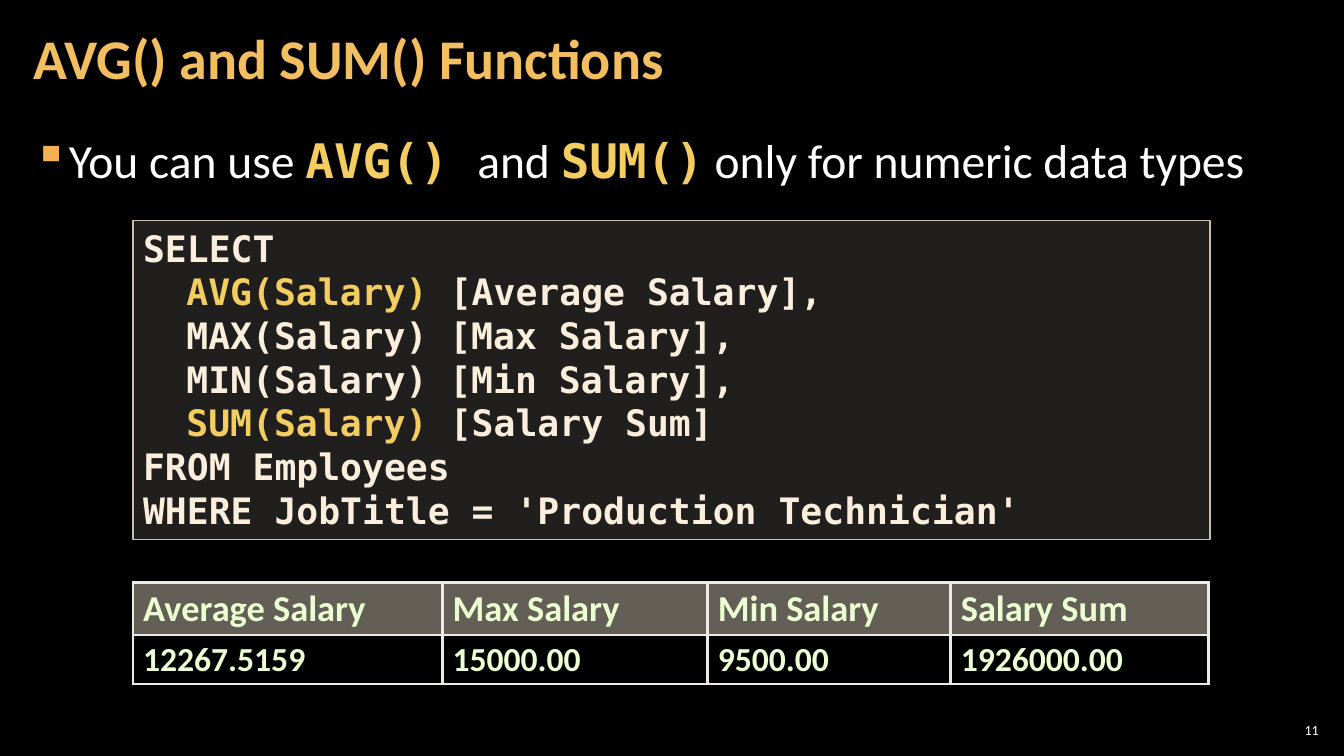
from lxml import etree
from pptx import Presentation
from pptx.dml.color import RGBColor
from pptx.enum.shapes import MSO_SHAPE
from pptx.enum.text import MSO_ANCHOR, MSO_AUTO_SIZE, PP_ALIGN
from pptx.oxml import parse_xml
from pptx.oxml.ns import nsdecls, qn
from pptx.util import Inches, Pt

LEFT, RIGHT = PP_ALIGN.LEFT, PP_ALIGN.RIGHT
MIDDLE, TOP = MSO_ANCHOR.MIDDLE, MSO_ANCHOR.TOP
NO_AUTOFIT = MSO_AUTO_SIZE.NONE
RECTANGLE = MSO_SHAPE.RECTANGLE

BLACK = RGBColor(0x00, 0x00, 0x00)
WHITE = RGBColor(0xFF, 0xFF, 0xFF)
TITLE_GOLD = RGBColor(0xF3, 0xBE, 0x60)
CODE_GOLD = RGBColor(0xF3, 0xCD, 0x60)
CREAM = RGBColor(0xFB, 0xEE, 0xDC)
PANEL = RGBColor(0xD9, 0xD5, 0xC7)
TAUPE = RGBColor(0xC7, 0xBF, 0xAC)
MINT = RGBColor(0xEB, 0xFF, 0xD2)

SANS = "Calibri"
MONO = "DejaVu Sans Mono"


def add_text(para, text, size, color, font=SANS, bold=False):
    span = para.add_run()
    span.text = text
    span.font.size = Pt(size)
    span.font.color.rgb = color
    span.font.name = font
    span.font.bold = bold


def set_opacity(element, percent):
    color = next(element.iter(qn("a:srgbClr")))
    etree.SubElement(color, qn("a:alpha")).set("val", str(percent * 1000))


deck = Presentation()
deck.slide_width = Inches(13.33)
deck.slide_height = Inches(7.5)
page = deck.slides.add_slide(deck.slide_layouts[5])
page.background.fill.solid()
page.background.fill.fore_color.rgb = BLACK

# Title, bullet and page number frames
title = page.shapes.title
title.left, title.top = Inches(0.21), Inches(0)
title.width, title.height = Inches(10.47), Inches(1.21)
bullet = page.shapes.add_textbox(Inches(0.21), Inches(1.26), Inches(12.91), Inches(0.8))
number = page.shapes.add_textbox(Inches(12.65), Inches(7.14), Inches(0.47), Inches(0.21))
for box, anchor, align, side in (
    (title, MIDDLE, LEFT, 0.12),
    (bullet, TOP, LEFT, 0.12),
    (number, MIDDLE, RIGHT, 0.04),
):
    frame = box.text_frame
    frame.word_wrap = True
    frame.auto_size = NO_AUTOFIT
    frame.vertical_anchor = anchor
    frame.margin_left = frame.margin_right = Inches(side)
    frame.margin_top = frame.margin_bottom = Inches(0.04)
    frame.paragraphs[0].alignment = align

para = title.text_frame.paragraphs[0]
para.line_spacing = 0.9
add_text(para, "AVG() and SUM() Functions", 40, TITLE_GOLD, bold=True)
add_text(number.text_frame.paragraphs[0], "11", 10, WHITE)

# Bullet line
para = bullet.text_frame.paragraphs[0]
para.space_before = para.space_after = Pt(6)
for text, is_code in (
    ("You can use ", False),
    ("AVG() ", True),
    ("and ", False),
    ("SUM()", True),
    (" only for numeric data types", False),
):
    if is_code:
        add_text(para, text, 34, CODE_GOLD, MONO, bold=True)
    else:
        add_text(para, text, 34, WHITE)
properties = para._p.get_or_add_pPr()
properties.set("marL", str(Inches(0.33)))
properties.set("indent", str(-Inches(0.33)))
bullet_color = etree.SubElement(properties, qn("a:buClr"))
etree.SubElement(bullet_color, qn("a:srgbClr")).set("val", "F2B254")
etree.SubElement(properties, qn("a:buChar")).set("char", "▪")

# SQL panel: indent level, highlighted part, rest of the line
code = page.shapes.add_shape(RECTANGLE, Inches(1.32), Inches(2.19), Inches(10.68), Inches(3.16))
code.shadow.inherit = False
code.fill.solid()
code.fill.fore_color.rgb = PANEL
set_opacity(code._element.spPr, 15)
code.line.color.rgb = TAUPE
code.line.width = Pt(1)
frame = code.text_frame
frame.word_wrap = True
frame.vertical_anchor = TOP
for index, (level, highlight, rest) in enumerate((
    (0, "", "SELECT"),
    (1, "AVG(Salary)", " [Average Salary],"),
    (1, "", "MAX(Salary) [Max Salary],"),
    (1, "", "MIN(Salary) [Min Salary],"),
    (1, "SUM(Salary)", " [Salary Sum]"),
    (0, "", "FROM Employees"),
    (0, "", "WHERE JobTitle = 'Production Technician'"),
)):
    para = frame.add_paragraph() if index else frame.paragraphs[0]
    para.alignment = LEFT
    para._p.get_or_add_pPr().set("marL", str(Inches(0.43) * level))
    if highlight:
        add_text(para, highlight, 26, CODE_GOLD, MONO, bold=True)
    add_text(para, rest, 26, CREAM, MONO, bold=True)

# Result table
results = (
    ("Average Salary", "Max Salary", "Min Salary", "Salary Sum"),
    ("12267.5159", "15000.00", "9500.00", "1926000.00"),
)
table = page.shapes.add_table(
    2, 4, Inches(1.32), Inches(5.78), Inches(10.67), Inches(0.99)
).table
table.first_row = table.horz_banding = False
for column, width in zip(table.columns, (3.07, 2.63, 2.41, 2.56)):
    column.width = Inches(width)
for row, height in zip(table.rows, (0.51, 0.48)):
    row.height = Inches(height)
for row_index, values in enumerate(results):
    for column_index, value in enumerate(values):
        cell = table.cell(row_index, column_index)
        para = cell.text_frame.paragraphs[0]
        para.line_spacing = 0.95
        add_text(para, value, 24 if row_index else 26, MINT, bold=True)
        cell_properties = cell._tc.get_or_add_tcPr()
        if row_index:
            cell.fill.background()
        else:
            cell.fill.solid()
            cell.fill.fore_color.rgb = TAUPE
            set_opacity(cell_properties, 50)
        for position, side in enumerate(("lnL", "lnR", "lnT", "lnB")):
            cell_properties.insert(position, parse_xml(
                f'<a:{side} {nsdecls("a")} w="{Pt(2.25)}"><a:solidFill>'
                f'<a:srgbClr val="ECEAE3"/></a:solidFill></a:{side}>'
            ))

deck.save("out.pptx")
